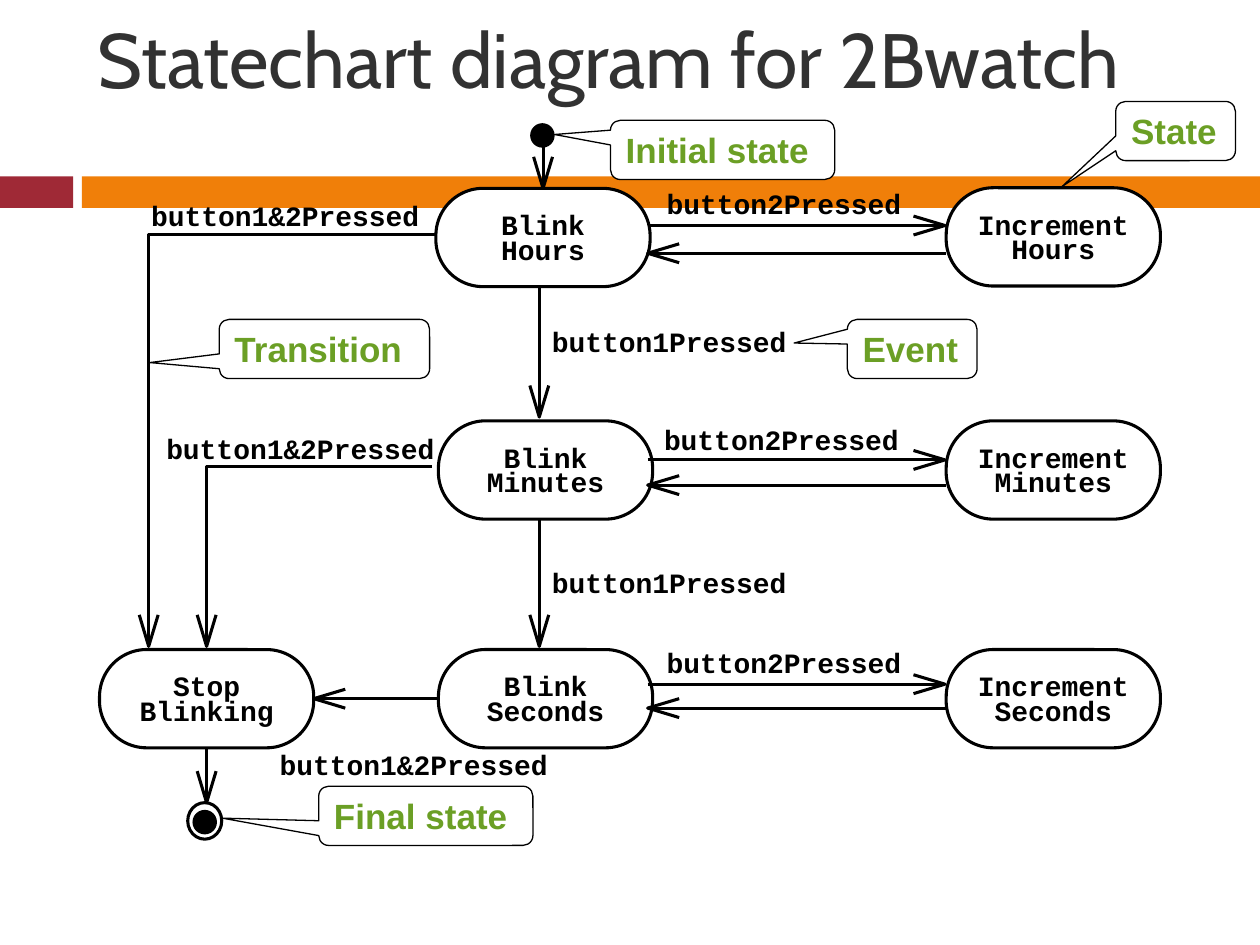
from math import hypot

from lxml.etree import SubElement
from pptx import Presentation
from pptx.dml.color import RGBColor as RGB
from pptx.enum.shapes import MSO_CONNECTOR as LINE, MSO_SHAPE as KIND
from pptx.enum.text import MSO_ANCHOR as ANCHOR, PP_ALIGN as ALIGN
from pptx.oxml.ns import qn
from pptx.util import Inches, Pt

HUES = {"ink": "000000", "paper": "FFFFFF", "title": "323232",
        "note": "6B9F25", "red": "9F2936", "orange": "F07F09"}

deck = Presentation()
deck.slide_width, deck.slide_height = Inches(10), Inches(7.5)
slide = deck.slides.add_slide(deck.slide_layouts[6])
shapes = slide.shapes
UNIT = deck.slide_width / 100  # grid of 100 columns by 75 rows


def paint(shape, fill, width):
    """Flat fill and black outline; None leaves either one out."""
    shape.shadow.inherit = False
    if fill:
        shape.fill.solid()
        shape.fill.fore_color.rgb = RGB.from_string(HUES[fill])
    else:
        shape.fill.background()
    if width:
        shape.line.width = Pt(width)
        shape.line.color.rgb = RGB.from_string(HUES["ink"])
    else:
        shape.line.fill.background()


def write(shape, text, face, size, hue, bold=True, align=ALIGN.LEFT, lead=None):
    frame = shape.text_frame
    frame.vertical_anchor = ANCHOR.MIDDLE
    frame.word_wrap = True
    frame.text = text
    for para in frame.paragraphs:
        para.alignment = align
        para.line_spacing = lead
        font = para.font
        font.name, font.size, font.bold = face, Pt(size), bold
        font.color.rgb = RGB.from_string(HUES[hue])
    return frame


# Theme bars
for left, wide, hue in [(0, 5.8, "red"), (6.5, 93.5, "orange")]:
    box = [round(n * UNIT) for n in (left, 14, wide, 2.5)]
    paint(shapes.add_shape(KIND.RECTANGLE, *box), hue, None)

# States, with the name on two lines
states = {}
for left, top, name in [
    (34.6, 14.95, "Blink\nHours"), (75.1, 14.9, "Increment\nHours"),
    (34.8, 33.4, "Blink\nMinutes"), (75.1, 33.4, "Increment\nMinutes"),
    (34.8, 51.55, "Blink\nSeconds"), (75.1, 51.55, "Increment\nSeconds"),
    (7.9, 51.55, "Stop\nBlinking"),
]:
    box = [round(n * UNIT) for n in (left, top, 17, 7.8)]
    state = shapes.add_shape(KIND.ROUNDED_RECTANGLE, *box)
    state.adjustments[0] = 0.48
    paint(state, "paper", 1.75)
    frame = write(state, name, "Courier New", 16, "ink",
                  align=ALIGN.CENTER, lead=Pt(14))
    frame.margin_left = frame.margin_right = 0
    frame.margin_top = Pt(8)
    states[name] = state

# Initial dot, final dot and final ring
for left, top, wide, high, hue in [
    (42.2, 9.9, 1.7, 1.7, "ink"),
    (15.4, 64.4, 1.7, 1.7, "ink"),
    (14.9, 63.7, 2.7, 2.9, None),
]:
    box = [round(n * UNIT) for n in (left, top, wide, high)]
    paint(shapes.add_shape(KIND.OVAL, *box), hue, 1.75)

# Transitions: points, then the joined state and side at start and end
hours, stop = states["Blink\nHours"], states["Stop\nBlinking"]
secs = states["Blink\nSeconds"]
routes = [
    ([(43.1, 10.8), (43.1, 14.95)], None, (hours, 0)),
    ([(42.8, 22.8), (42.8, 33.1)], None, None),
    ([(42.8, 41.2), (42.8, 51.3)], None, None),
    ([(34.8, 55.45), (24.9, 55.45)], (secs, 1), (stop, 3)),
    ([(16.4, 59.35), (16.4, 63.7)], (stop, 2), None),
    ([(34.6, 18.6), (11.8, 18.6), (11.8, 51.3)], None, None),
    ([(34.3, 37), (16.4, 37), (16.4, 51.3)], None, None),
]
for out, back in [(17.9, 20.1), (36.5, 38.5), (54.3, 56.2)]:
    routes.append(([(51.4, out), (75, out)], None, None))
    routes.append(([(75.1, back), (51.4, back)], None, None))

for points, start, end in routes:
    # Open arrowhead with a stem, set square to the last leg
    (px, py), (x, y) = points[-2:]
    size = hypot(x - px, y - py)
    dx, dy = (x - px) / size, (y - py) / size
    base = bx, by = x - 2.5 * dx, y - 2.5 * dy
    head = [(bx - 0.75 * dy, by + 0.75 * dx), (x, y),
            (bx + 0.75 * dy, by - 0.75 * dx)]
    shaft = points[:-1] + [base]
    outlines, legs = [head], [([base, (x, y)], None, end)]
    if len(shaft) > 2:
        outlines.append(shaft)
    else:
        legs.append((shaft, start, None))
    for leg, first, last in legs:
        ends = [round(n * UNIT) for point in leg for n in point]
        line = shapes.add_connector(LINE.STRAIGHT, *ends)
        if first:
            line.begin_connect(*first)
        if last:
            line.end_connect(*last)
        line.line.width = Pt(1.75)
        line.line.color.rgb = RGB.from_string(HUES["ink"])
        SubElement(line._element.spPr, qn("a:effectLst"))
    for outline in outlines:
        dots = [(round(h * UNIT), round(v * UNIT)) for h, v in outline]
        pen = shapes.build_freeform(*dots[0])
        pen.add_line_segments(dots[1:], close=False)
        paint(pen.convert_to_shape(), None, 1.75)

# Event labels
for left, top, name in [
    (12, 15.75, "button1&2Pressed"), (13.2, 34.2, "button1&2Pressed"),
    (22.2, 59.3, "button1&2Pressed"),
    (43.8, 25.7, "button1Pressed"), (43.8, 44.9, "button1Pressed"),
    (52.9, 14.8, "button2Pressed"), (52.7, 33.5, "button2Pressed"),
    (52.9, 51.2, "button2Pressed"),
]:
    box = [round(n * UNIT) for n in (left, top, 1.34 * len(name), 2.7)]
    frame = write(shapes.add_textbox(*box), name, "Courier New", 16, "ink")
    frame.word_wrap = False
    frame.margin_left = frame.margin_right = 0
    frame.margin_top = frame.margin_bottom = 0

# Callouts, with the tip as a share of their size
for left, top, wide, tip, name in [
    (88.55, 8.05, 9.5, (-0.95, 0.94), "State"),
    (48.45, 9.55, 17.8, (-0.75, -0.26), "Initial state"),
    (25.3, 62.4, 17, (-0.95, 0.04), "Final state"),
    (17.4, 25.35, 16.7, (-0.83, 0.23), "Transition"),
    (67.25, 25.35, 10.3, (-0.91, -0.1), "Event"),
]:
    box = [round(n * UNIT) for n in (left, top, wide, 4.7)]
    note = shapes.add_shape(KIND.ROUNDED_RECTANGULAR_CALLOUT, *box)
    note.adjustments[0], note.adjustments[1] = tip
    paint(note, "paper", 0.75)
    write(note, name, "Arial", 20, "note")

# Title
box = [round(n * UNIT) for n in (6.75, 0, 89.2, 9.2)]
write(shapes.add_textbox(*box), "Statechart diagram for 2Bwatch",
      "Cabin", 44, "title", bold=False)

deck.save("out.pptx")
